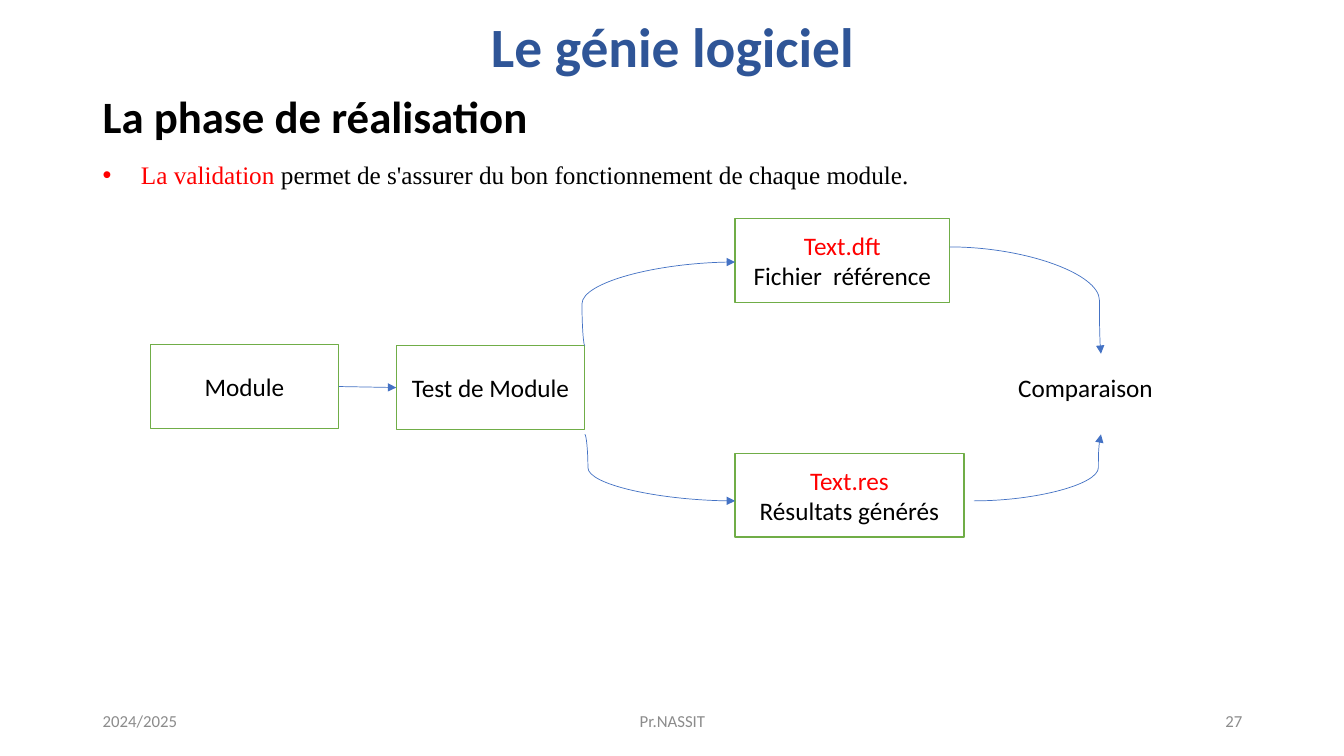
"""Builds the software engineering slide on validating modules."""
from lxml import etree
from pptx import Presentation
from pptx.dml.color import RGBColor
from pptx.enum.shapes import MSO_CONNECTOR, MSO_SHAPE
from pptx.enum.text import MSO_ANCHOR, PP_ALIGN
from pptx.oxml.ns import qn
from pptx.util import Inches, Pt

RECT = MSO_SHAPE.RECTANGLE
STRAIGHT, CURVE = MSO_CONNECTOR.STRAIGHT, MSO_CONNECTOR.CURVE
TOP, MIDDLE = MSO_ANCHOR.TOP, MSO_ANCHOR.MIDDLE
LEFT, CENTER, RIGHT = PP_ALIGN.LEFT, PP_ALIGN.CENTER, PP_ALIGN.RIGHT

COLORS = {"title": "2F5597", "text": "000000", "accent": "FF0000", "footer": "8C8C8C",
          "box": "FFFFFF", "border": "70AD47", "arrow": "4472C4"}

TITLE = "Le génie logiciel"
HEADING = "La phase de réalisation"
BULLET = [("La validation ", "accent"),
          ("permet de s'assurer du bon fonctionnement de chaque module.", "text")]
FOOTERS = [("2024/2025", 0.92, 3, LEFT), ("Pr.NASSIT", 4.42, 4.5, CENTER), ("27", 9.42, 3, RIGHT)]
BOX_H = 0.83
BOXES = {
    "test": (3.93, 3.43, 1.87, [("Test de Module", "text")]),
    "module": (1.49, 3.42, 1.87, [("Module", "text")]),
    "reference": (7.29, 2.17, 2.13, [("Text.dft", "accent"), ("Fichier  référence", "text")]),
    "results": (7.29, 4.5, 2.27, [("Text.res", "accent"), ("Résultats générés", "text")]),
}
CURVES = [
    ((5.8, 3.43), (7.29, 2.6), -1900),
    ((5.8, 4.31), (7.29, 4.97), 2100),
    ((9.42, 2.45), (10.92, 3.51), 99000),
    ((9.66, 4.97), (10.92, 4.31), 98000),
]


def rgb(name):
    return RGBColor.from_string(COLORS[name])


def style(p, size, color, align=LEFT, bold=False, font="Calibri"):
    p.alignment = align
    f = p.font
    f.name, f.size, f.bold = font, Pt(size), bold
    f.color.rgb = rgb(color)


def add_text(s, text, at, size, color, align=LEFT, bold=False, anchor=MIDDLE):
    tf = s.shapes.add_textbox(*map(Inches, at)).text_frame
    tf.word_wrap = True
    tf.vertical_anchor = anchor
    p = tf.paragraphs[0]
    p.text = text
    style(p, size, color, align, bold)
    return tf


def add_bullet(tf):
    p = tf.add_paragraph()
    style(p, 18, "text", font="Times New Roman")
    p.line_spacing, p.space_before, p.space_after = 1.07, Pt(10), Pt(8)
    for text, color in BULLET:
        r = p.add_run()
        r.text = text
        r.font.name, r.font.size = "Times New Roman", Pt(18)
        r.font.color.rgb = rgb(color)
    pPr = p._p.get_or_add_pPr()
    pPr.set("marL", str(Inches(0.38)))
    pPr.set("indent", str(-Inches(0.38)))
    bullet_font = etree.Element(qn("a:buFont"), typeface="Arial")
    bullet = etree.Element(qn("a:buChar"), char="•")
    pPr.find(qn("a:spcAft")).addnext(bullet_font)
    bullet_font.addnext(bullet)


def add_box(s, x, y, w, lines):
    sp = s.shapes.add_shape(RECT, *map(Inches, (x, y, w, BOX_H)))
    sp.shadow.inherit = False
    sp.fill.solid()
    sp.fill.fore_color.rgb = rgb("box")
    sp.line.color.rgb = rgb("border")
    sp.line.width = Pt(1)
    tf = sp.text_frame
    tf.word_wrap = True
    tf.vertical_anchor = MIDDLE
    tf.text = "\n".join(text for text, _ in lines)
    for p, (_, color) in zip(tf.paragraphs, lines):
        style(p, 18, color, CENTER)
    return sp


def add_arrow(s, kind, start, end):
    c = s.shapes.add_connector(kind, *map(Inches, start + end))
    c.line.color.rgb = rgb("arrow")
    c.line.width = Pt(0.5)
    etree.SubElement(c.line._get_or_add_ln(), qn("a:tailEnd"), type="triangle")
    etree.SubElement(c._element.spPr, qn("a:effectLst"))
    return c


def main():
    prs = Presentation()
    prs.slide_width, prs.slide_height = Inches(13.33), Inches(7.5)
    s = prs.slides.add_slide(prs.slide_layouts[6])

    tf = add_text(s, TITLE, (0.92, 0.08, 11.5, 0.83), 39.6, "title", CENTER, True)
    tf.paragraphs[0].line_spacing = 0.9
    tf = add_text(s, HEADING, (0.92, 0.89, 11.5, 6.4), 32, "text", bold=True, anchor=TOP)
    tf.paragraphs[0].line_spacing = 0.9
    tf.paragraphs[0].space_before = Pt(10)
    add_bullet(tf)
    for text, x, w, align in FOOTERS:
        add_text(s, text, (x, 6.95, w, 0.4), 12, "footer", align)
    add_text(s, "Comparaison", (10, 3.64, 2.06, 0.4), 18, "text", anchor=TOP)

    boxes = {name: add_box(s, *box) for name, box in BOXES.items()}
    for start, end, bend in CURVES:
        c = add_arrow(s, CURVE, start, end)
        guides = c._element.spPr.find(qn("a:prstGeom")).find(qn("a:avLst"))
        etree.SubElement(guides, qn("a:gd"), name="adj1", fmla=f"val {bend}")
    c = add_arrow(s, STRAIGHT, (3.36, 3.84), (3.93, 3.84))
    c.begin_connect(boxes["module"], 3)
    c.end_connect(boxes["test"], 1)

    prs.save("out.pptx")


if __name__ == "__main__":
    main()
